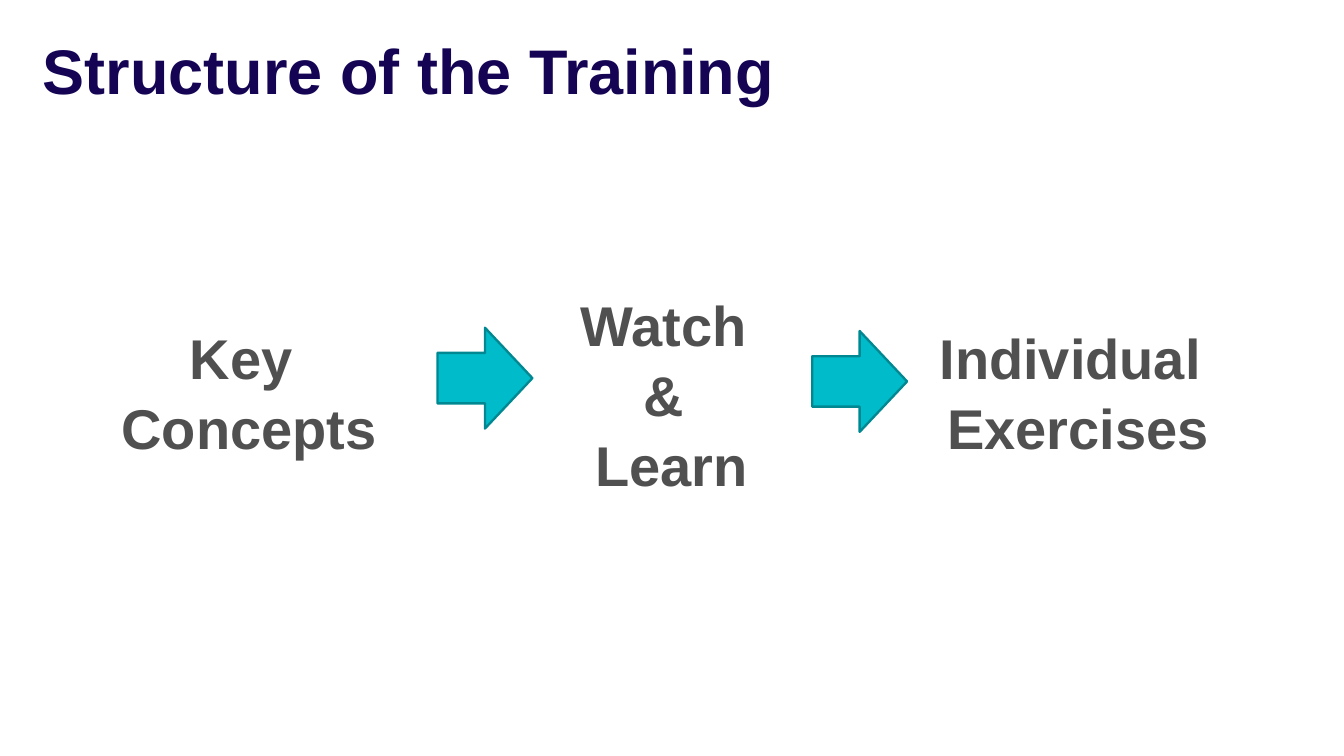
from pptx import Presentation
from pptx.dml.color import RGBColor
from pptx.enum.shapes import MSO_SHAPE
from pptx.enum.text import MSO_ANCHOR, MSO_AUTO_SIZE, PP_ALIGN
from pptx.util import Cm, Pt

NAVY = RGBColor(0x15, 0x04, 0x54)
GRAY = RGBColor(0x50, 0x50, 0x50)
TEAL = RGBColor(0x00, 0xBB, 0xC9)
DARK_TEAL = RGBColor(0x00, 0x88, 0x92)

TITLE_FONT = {"name": "Arial", "size": Pt(54), "bold": True}
STEP_FONT = {"name": "Arial", "size": Pt(48), "bold": True}


def write(shape, lines, font, color, align, spacing, side):
    tf = shape.text_frame
    frame = {"word_wrap": True, "auto_size": MSO_AUTO_SIZE.NONE,
             "vertical_anchor": MSO_ANCHOR.TOP,
             "margin_left": Cm(side), "margin_right": Cm(side),
             "margin_top": Cm(0.25), "margin_bottom": Cm(0.25)}
    for name, value in frame.items():
        setattr(tf, name, value)
    for i, line in enumerate(lines):
        p = tf.add_paragraph() if i else tf.paragraphs[0]
        p.alignment = align
        p.line_spacing = spacing
        r = p.add_run()
        r.text = line
        for name, value in font.items():
            setattr(r.font, name, value)
        r.font.color.rgb = color


prs = Presentation()
prs.slide_width = Cm(40.64)
prs.slide_height = Cm(22.86)
s = prs.slides.add_slide(prs.slide_layouts[5])

title = s.shapes.title
box = {"left": Cm(0.89), "top": Cm(0.97), "width": Cm(38.86), "height": Cm(3)}
for name, value in box.items():
    setattr(title, name, value)
write(title, ["Structure of the Training"], TITLE_FONT, NAVY, PP_ALIGN.LEFT, 0.9, 0.41)

steps = [
    (["Key ", "Concepts"], 3.07, 9.45, 8.92, 4.22),
    (["Watch ", "& ", "Learn"], 14.88, 8.46, 10.85, 5.92),
    (["Individual ", "Exercises"], 26.34, 9.45, 12.52, 4.22),
]
for lines, *place in steps:
    sp = s.shapes.add_textbox(*map(Cm, place))
    write(sp, lines, STEP_FONT, GRAY, PP_ALIGN.CENTER, 1.04, 0.25)

for left, top in [(13.23, 9.91), (24.56, 10.01)]:
    arrow = s.shapes.add_shape(MSO_SHAPE.RIGHT_ARROW, Cm(left), Cm(top), Cm(2.87), Cm(3.05))
    arrow.shadow.inherit = False
    arrow.fill.solid()
    arrow.fill.fore_color.rgb = TEAL
    arrow.line.color.rgb = DARK_TEAL
    arrow.line.width = Pt(2)

prs.save("out.pptx")
